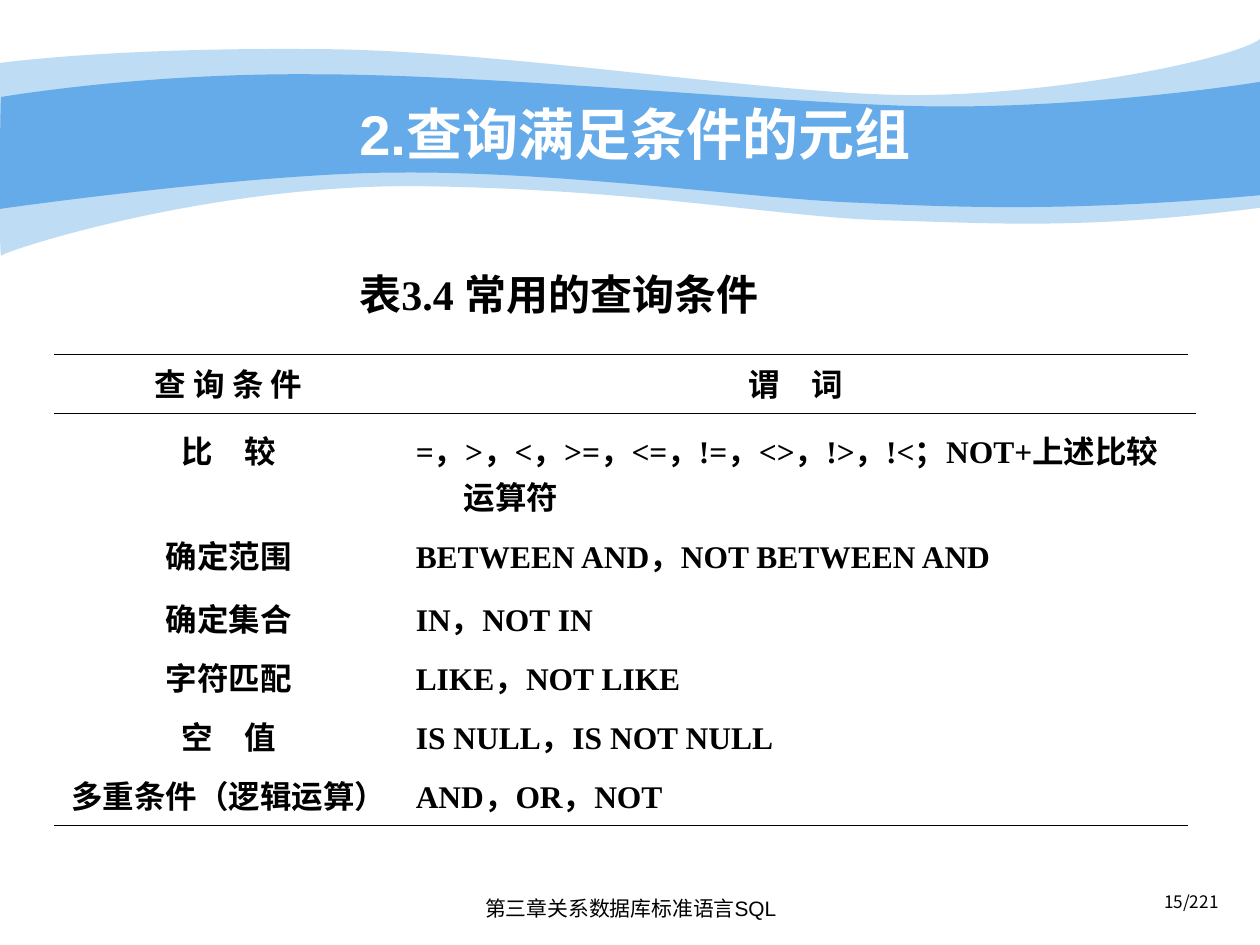
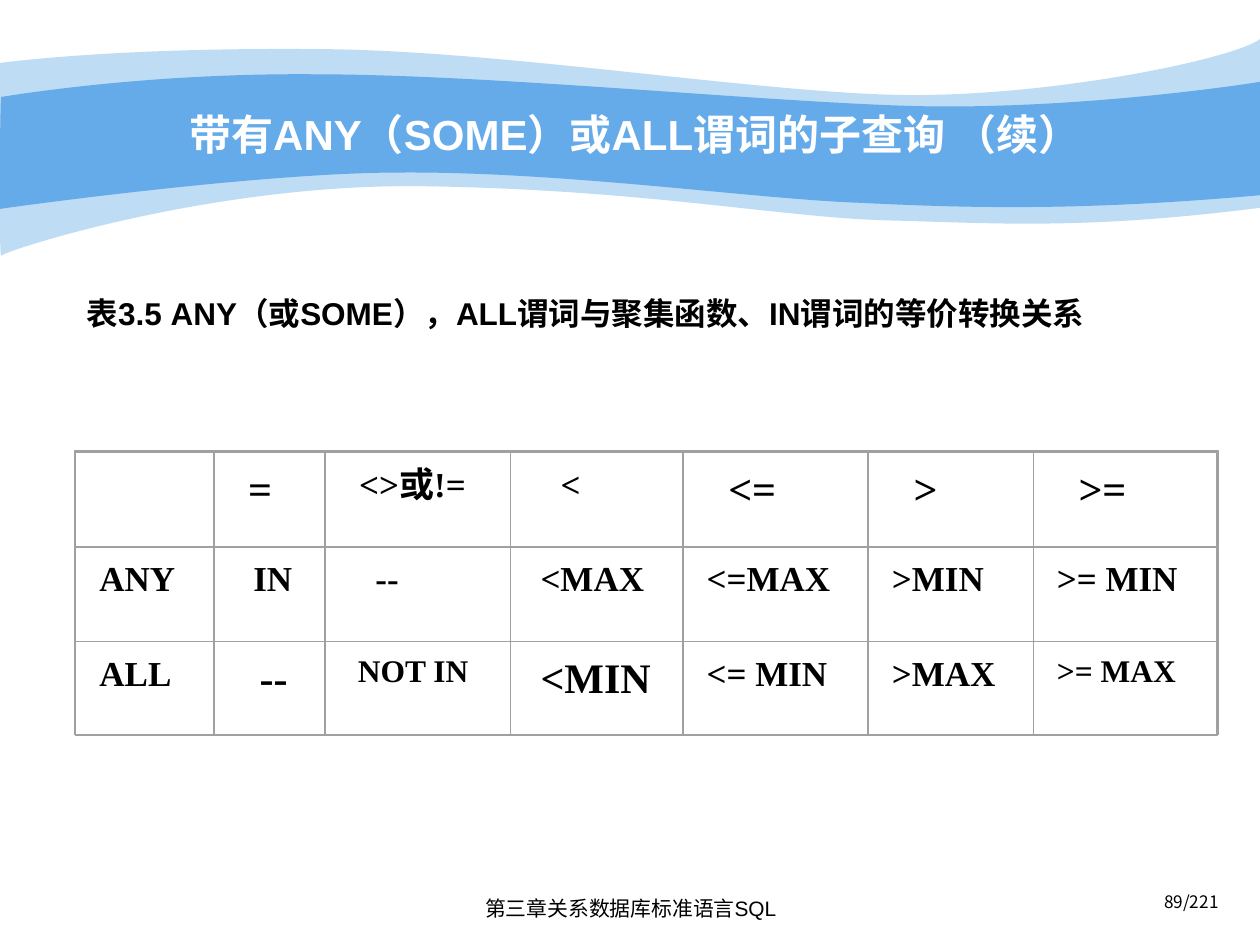
from lxml import etree
from pptx import Presentation
from pptx.dml.color import RGBColor
from pptx.enum import shapes as sh, text as tx
from pptx.oxml import ns
from pptx.util import Inches, Pt

INK = {"wave": "65AAE9", "text": "000000", "title": "FFFFFF", "grid": "A0A0A0"}
ROMAN = "Times New Roman"
LEFT, MID, RIGHT = tx.PP_ALIGN.LEFT, tx.PP_ALIGN.CENTER, tx.PP_ALIGN.RIGHT
BARE = "{2D5ABB26-0587-4C30-8999-92F81FD0307C}"  # table style without grid

# Each wave: start point, then straight (2 numbers) or Bezier (6 numbers) steps, and opacity
WAVES = [
    ((0, 0.5), [
        (0.24, 0.47, 1.07, 0.38, 2.47, 0.39), (3.86, 0.39, 5.75, 0.7, 6.99, 0.75),
        (8.22, 0.8, 9.8, 0.47, 10, 0.31), (10, 1.65),
        (8.58, 1.83, 7.87, 1.77, 7.05, 1.75), (6.22, 1.73, 5.15, 1.51, 3.43, 1.48),
        (1.72, 1.44, 0.04, 1.99, 0.01, 2.03), (-0.01, 2.08, 0, 0.75, 0, 0.5)], 41),
    ((0.01, 0.77), [
        (0.02, 0.77, 1.1, 0.58, 2.48, 0.59), (3.86, 0.59, 5.95, 0.8, 7.18, 0.84),
        (8.41, 0.88, 9.76, 0.69, 10, 0.65), (10, 1.55),
        (8.53, 1.68, 7.65, 1.65, 6.82, 1.61), (5.99, 1.58, 4.47, 1.36, 3.17, 1.37),
        (2.03, 1.37, -0.02, 1.66, -0.01, 1.66), (0, 1.66, 0, 0.77, 0.01, 0.77)], 100),
]

PAGES = [("2.查询满足条件的元组", 32, "15/221"),
         ("带有ANY（SOME）或ALL谓词的子查询 （续）", 24, "89/221")]

TERMS = [
    ("查 询 条 件", "谓　词"),
    ("比　较", "=，>，<，>=，<=，!=，<>，!>，!<；NOT+上述比较运算符"),
    ("确定范围", "BETWEEN AND，NOT BETWEEN AND"),
    ("确定集合", "IN，NOT IN"),
    ("字符匹配", "LIKE，NOT LIKE"),
    ("空　值", "IS NULL，IS NOT NULL"),
    ("多重条件（逻辑运算）", "AND，OR，NOT"),
]

# Each cell: text, size, extra left indent
SWAPS = [
    [("", 20, 0), ("=", 24, 0.08), ("<>或!=", 20, 0.08), ("<", 20, 0.21),
     ("<=", 24, 0.17), (">", 24, 0.17), (">=", 24, 0.17)],
    [("ANY", 20, 0), ("IN", 20, 0.12), ("--", 20, 0.21), ("<MAX", 20, 0.05),
     ("<=MAX", 20, 0), (">MIN", 20, 0), (">= MIN", 20, 0)],
    [("ALL", 20, 0), ("--", 24, 0.17), ("NOT IN", 18, 0.07), ("<MIN", 24, 0.05),
     ("<= MIN", 20, 0), (">MAX", 20, 0), (">= MAX", 18, 0)],
]
EDGES = (0.6, 1.7, 2.58, 4.05, 5.42, 6.89, 8.2, 9.66)


def write(frame, words, size, face=ROMAN, align=LEFT, bold=True, ink="text"):
    frame.text = words
    para = frame.paragraphs[0]
    para.alignment = align
    font = para.font
    font.size, font.name, font.bold = Pt(size), face, bold
    font.color.rgb = RGBColor.from_string(INK[ink])
    return para


def outline(group, left, top, wide, high, width):
    rect = group.shapes.add_shape(sh.MSO_SHAPE.RECTANGLE, Inches(left), Inches(top),
                                  Inches(wide), Inches(high))
    rect.shadow.inherit = False
    rect.fill.background()
    rect.line.color.rgb = RGBColor.from_string(INK["grid"])
    rect.line.width = Pt(width)


deck = Presentation()
deck.slide_width, deck.slide_height = Inches(10), Inches(7.5)
slides = []

# Shared waves, title, page number and footer
for name, size, page in PAGES:
    slide = deck.slides.add_slide(deck.slide_layouts[5])
    slides.append(slide)
    for spot, (start, moves, alpha) in enumerate(WAVES):
        dots = [(move[i] * 1000, move[i + 1] * 1000)
                for move in moves for i in range(0, len(move), 2)]
        pen = slide.shapes.build_freeform(start[0] * 1000, start[1] * 1000,
                                          scale=Inches(1) / 1000)
        pen.add_line_segments(dots)
        wave = pen.convert_to_shape()
        # Join each three line points of a Bezier step into one curve
        track = wave._element.find(".//" + ns.qn("a:path"))
        lines = iter(track.findall(ns.qn("a:lnTo")))
        for move in moves:
            group = [next(lines) for _ in range(len(move) // 2)]
            if len(group) == 3:
                curve = etree.Element(ns.qn("a:cubicBezTo"))
                group[0].addprevious(curve)
                for line in group:
                    curve.append(line[0])
                    track.remove(line)
        wave.shadow.inherit = False
        wave.line.fill.background()
        wave.fill.solid()
        wave.fill.fore_color.rgb = RGBColor.from_string(INK["wave"])
        if alpha < 100:
            tint = wave._element.spPr.find(".//" + ns.qn("a:srgbClr"))
            etree.SubElement(tint, ns.qn("a:alpha"), val=str(alpha * 1000))
        slide.shapes._spTree.insert(2 + spot, wave._element)

    for left, wide, high, words, pts, face, align, gap in [
        (7.44, 2.33, 0.29, page, 9.8, "Noto Sans CJK SC", RIGHT, 0.8),
        (3.42, 3.17, 0.32, "第三章关系数据库标准语言SQL", 11.9, "Arial", MID, 1.0),
    ]:
        box = slide.shapes.add_textbox(Inches(left), Inches(7.06), Inches(wide), Inches(high))
        box.text_frame.word_wrap = True
        write(box.text_frame, words, pts, face, align, False).line_spacing = gap

    head = slide.shapes.title
    head.left, head.top = Inches(1), Inches(0.75)
    head.width, head.height = Inches(8.08), Inches(0.62)
    head.text_frame.auto_size = tx.MSO_AUTO_SIZE.NONE
    head.text_frame.vertical_anchor = tx.MSO_ANCHOR.MIDDLE
    write(head.text_frame, name, size, "Arial", MID, ink="title")

first, second = slides

# Query conditions
table = first.shapes.add_table(len(TERMS), 2, Inches(0.43), Inches(2.81),
                               Inches(9), Inches(3.74)).table
table.first_row = table.horz_banding = False
table._tbl.tblPr.find(ns.qn("a:tableStyleId")).text = BARE
for col, wide in zip(table.columns, (2.77, 6.23)):
    col.width = Inches(wide)
for row, high in zip(table.rows, (0.53, 0.83, 0.5, 0.47, 0.47, 0.47, 0.47)):
    row.height = Inches(high)
rims = {0: "a:lnT", len(TERMS) - 1: "a:lnB"}
for r, pair in enumerate(TERMS):
    for c, words in enumerate(pair):
        cell = table.cell(r, c)
        para = write(cell.text_frame, words, 18, align=LEFT if r and c else MID)
        if r and c:
            props = para._p.get_or_add_pPr()
            props.set("marL", str(Inches(0.38)))
            props.set("indent", str(-Inches(0.38)))
        if r in rims:
            line = etree.SubElement(cell._tc.get_or_add_tcPr(), ns.qn(rims[r]),
                                    w=str(Pt(0.45)))
            fill = etree.SubElement(line, ns.qn("a:solidFill"))
            etree.SubElement(fill, ns.qn("a:srgbClr"), val=INK["text"])
        cell.fill.background()

rule = first.shapes.add_connector(sh.MSO_CONNECTOR.STRAIGHT, Inches(0.43), Inches(3.28),
                                  Inches(9.49), Inches(3.28))
rule.line.color.rgb = RGBColor.from_string(INK["text"])
rule.line.width = Pt(0.75)
etree.SubElement(rule._element.spPr, ns.qn("a:effectLst"))

box = first.shapes.add_textbox(Inches(2.3), Inches(2.08), Inches(4.27), Inches(0.5))
box.text_frame.word_wrap = False
write(box.text_frame, "表3.4 常用的查询条件", 24, align=MID)

# Equivalent predicates
box = second.shapes.add_textbox(Inches(0.59), Inches(2.34), Inches(9), Inches(0.61))
box.text_frame.word_wrap = True
write(box.text_frame, "表3.5 ANY（或SOME），ALL谓词与聚集函数、IN谓词的等价转换关系",
      18, "Arial").line_spacing = 0.8

grid = second.shapes.add_group_shape()
for r, line in enumerate(SWAPS):
    top = 3.59 + 0.75 * r
    for (words, size, pad), left, right in zip(line, EDGES, EDGES[1:]):
        if words:
            box = grid.shapes.add_textbox(Inches(left + 0.09), Inches(top),
                                          Inches(right - left - 0.19),
                                          Inches(0.5 if size == 24 else 0.44))
            frame = box.text_frame
            frame.word_wrap = True
            frame.margin_left, frame.margin_right = Inches(0.1 + pad), Inches(0)
            frame.margin_top = Inches(0.08)
            write(frame, words, size)
        outline(grid, left, top, right - left, 0.75, 0)
outline(grid, 0.59, 3.58, 9.08, 2.25, 0.88)

deck.save("out.pptx")
